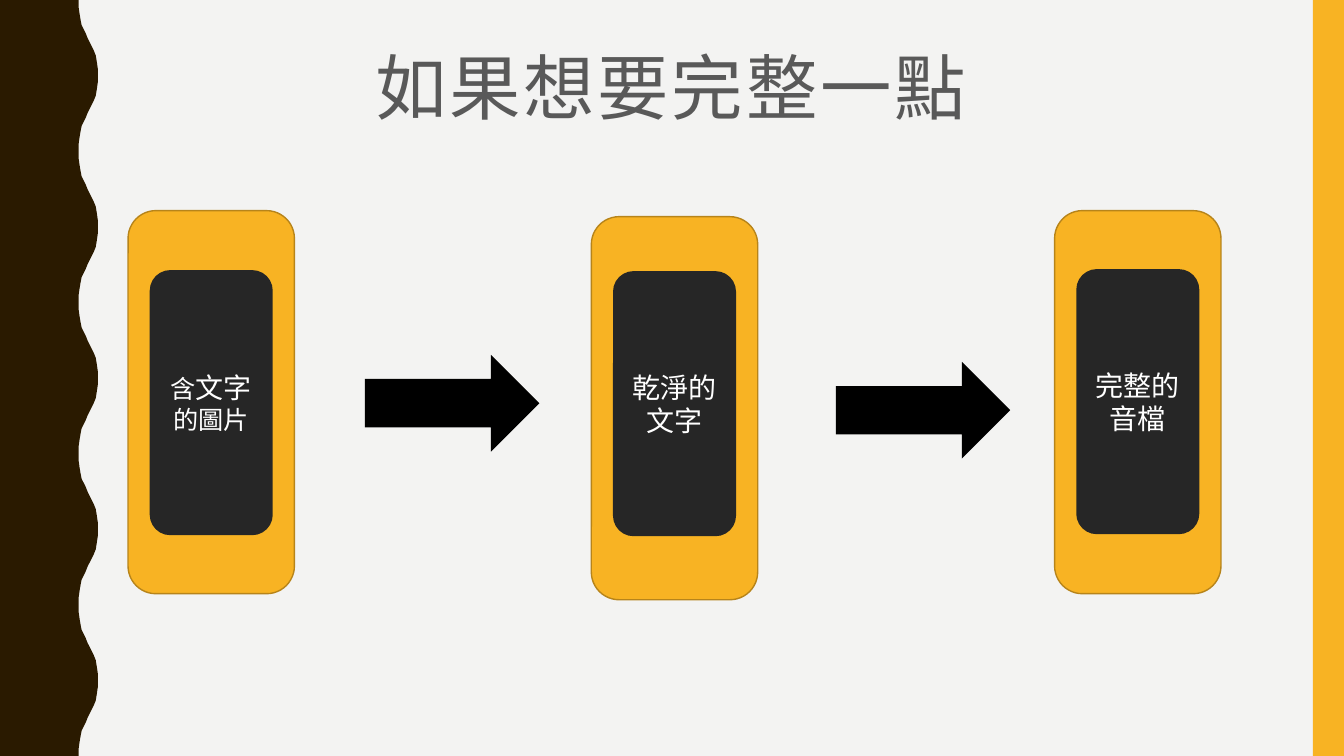
from dataclasses import dataclass
from pptx import Presentation
from pptx.dml.color import RGBColor
from pptx.enum.shapes import MSO_SHAPE as SHAPE
from pptx.enum.text import MSO_ANCHOR as ANCHOR, MSO_AUTO_SIZE, PP_ALIGN
from pptx.util import Inches, Pt


@dataclass(frozen=True)
class Theme:
    font: str = "Roboto Condensed"
    paper: str = "F3F3F2"
    wave: str = "2A1A00"
    gold: str = "F8B323"
    gold_edge: str = "B7841A"
    panel: str = "262626"
    arrow: str = "000000"
    title: str = "595959"
    label: str = "FFFFFF"
    title_size: int = 51
    label_size: int = 20
    small_size: int = 18


T = Theme()
W, H = 13.33, 7.5

TITLE = "如果想要完整一點"
# Runs of each label, card top, panel top
STEPS = [
    ([("含", T.small_size), ("文字", T.label_size), ("的圖片", T.small_size)], 2.09, 2.68),
    ([("乾淨的文字", T.label_size)], 2.15, 2.69),
    ([("完整的音檔", T.label_size)], 2.09, 2.67),
]
ARROWS = [(3.62, 3.52), (8.29, 3.59)]

CARD_LEFT, CARD_STEP = 1.27, 4.595
CARD_W, CARD_H = 1.65, 3.8
PANEL_W, PANEL_H = 1.22, 2.63
ARROW_W, ARROW_H = 1.73, 0.96
STRIPE_W = 0.31

# Trough to crest of one wave; the way back mirrors it
WAVE_RISE = [(0.78, 0), (0.78, 0.07), (0.79, 0.14), (0.8, 0.2), (0.81, 0.25),
             (0.83, 0.29), (0.85, 0.33), (0.87, 0.38), (0.89, 0.42), (0.91, 0.46),
             (0.93, 0.5), (0.95, 0.55), (0.96, 0.61), (0.97, 0.68), (0.97, 0.75)]
WAVE_PERIOD, WAVES = 1.5, 5


def paint(s, fill, line=None):
    s.shadow.inherit = False
    s.fill.solid()
    s.fill.fore_color.rgb = RGBColor.from_string(fill)
    if line:
        s.line.color.rgb = RGBColor.from_string(line)
        s.line.width = Pt(1)
    else:
        s.line.fill.background()
    return s


def add_block(kind, x, y, w, h, fill, line=None):
    return paint(sl.shapes.add_shape(kind, *map(Inches, (x, y, w, h))), fill, line)


def write(s, runs, color, anchor=ANCHOR.MIDDLE, line_spacing=None, spacing=None):
    """Fill a shape with one centred paragraph of (text, size) runs."""
    tf = s.text_frame
    tf.word_wrap, tf.auto_size, tf.vertical_anchor = True, MSO_AUTO_SIZE.NONE, anchor
    p = tf.paragraphs[0]
    p.alignment = PP_ALIGN.CENTER
    if line_spacing:
        p.line_spacing = line_spacing
    for text, size in runs:
        r = p.add_run()
        r.text = text
        r.font.name, r.font.size = T.font, Pt(size)
        r.font.color.rgb = RGBColor.from_string(color)
        if spacing:
            r.font._element.set("spc", str(spacing * 100))


def add_wave():
    period = WAVE_RISE + [(x, WAVE_PERIOD - y) for x, y in WAVE_RISE[-2::-1]]
    edge = [(x, y + n * WAVE_PERIOD) for n in range(WAVES) for x, y in period]
    builder = sl.shapes.build_freeform(0, 0)
    builder.add_line_segments([(Inches(x), Inches(y)) for x, y in edge + [(0, H)]])
    paint(builder.convert_to_shape(), T.wave)


prs = Presentation()
prs.slide_width, prs.slide_height = Inches(W), Inches(H)
sl = prs.slides.add_slide(prs.slide_layouts[5])
sl.background.fill.solid()
sl.background.fill.fore_color.rgb = RGBColor.from_string(T.paper)

add_wave()
add_block(SHAPE.RECTANGLE, W - STRIPE_W, 0, STRIPE_W, H, T.gold)

title = sl.shapes.title
title.left, title.top, title.width, title.height = map(Inches, (1.09, 0.47, 11.13, 1.63))
write(title, [(TITLE, T.title_size)], T.title, ANCHOR.TOP, line_spacing=0.9, spacing=2)

for i, (runs, card_top, panel_top) in enumerate(STEPS):
    x = CARD_LEFT + i * CARD_STEP
    add_block(SHAPE.ROUNDED_RECTANGLE, x, card_top, CARD_W, CARD_H, T.gold, T.gold_edge)
    panel = add_block(SHAPE.ROUNDED_RECTANGLE, x + (CARD_W - PANEL_W) / 2, panel_top,
                      PANEL_W, PANEL_H, T.panel)
    write(panel, runs, T.label)

for x, y in ARROWS:
    add_block(SHAPE.RIGHT_ARROW, x, y, ARROW_W, ARROW_H, T.arrow)

prs.save("out.pptx")
